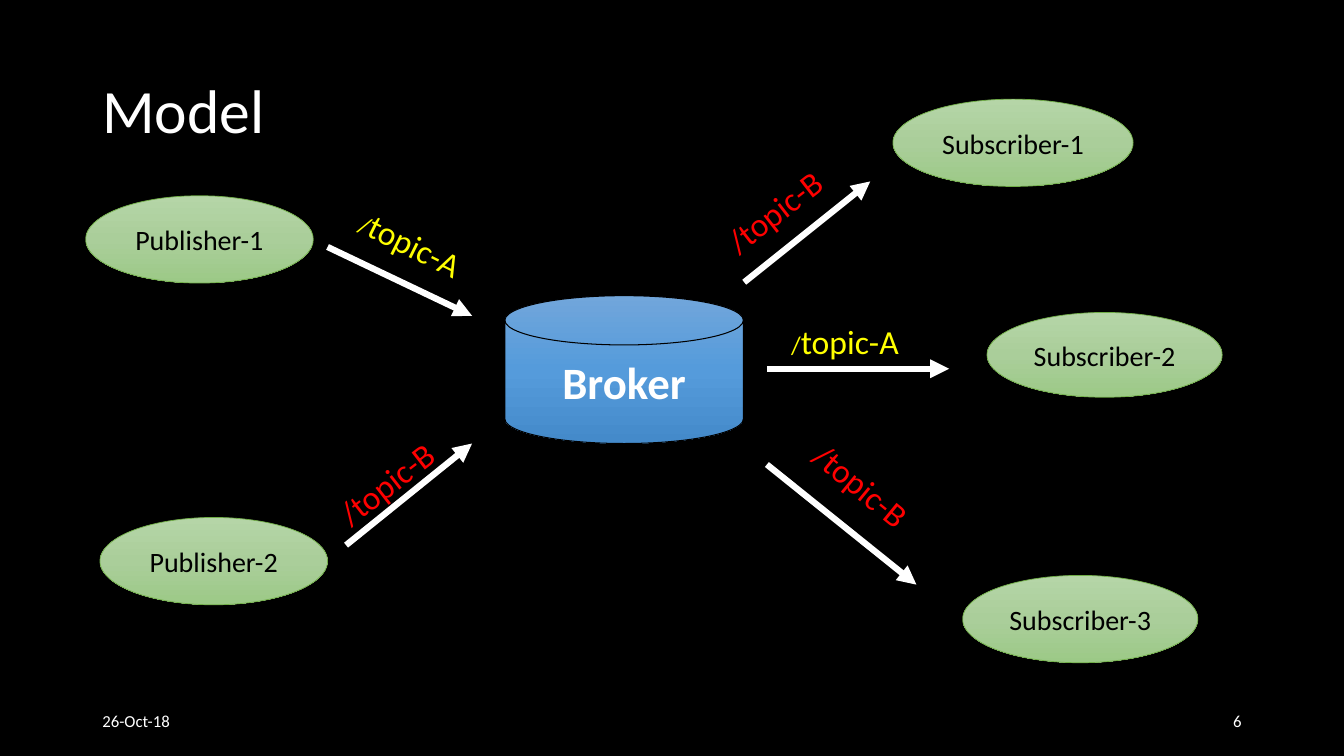
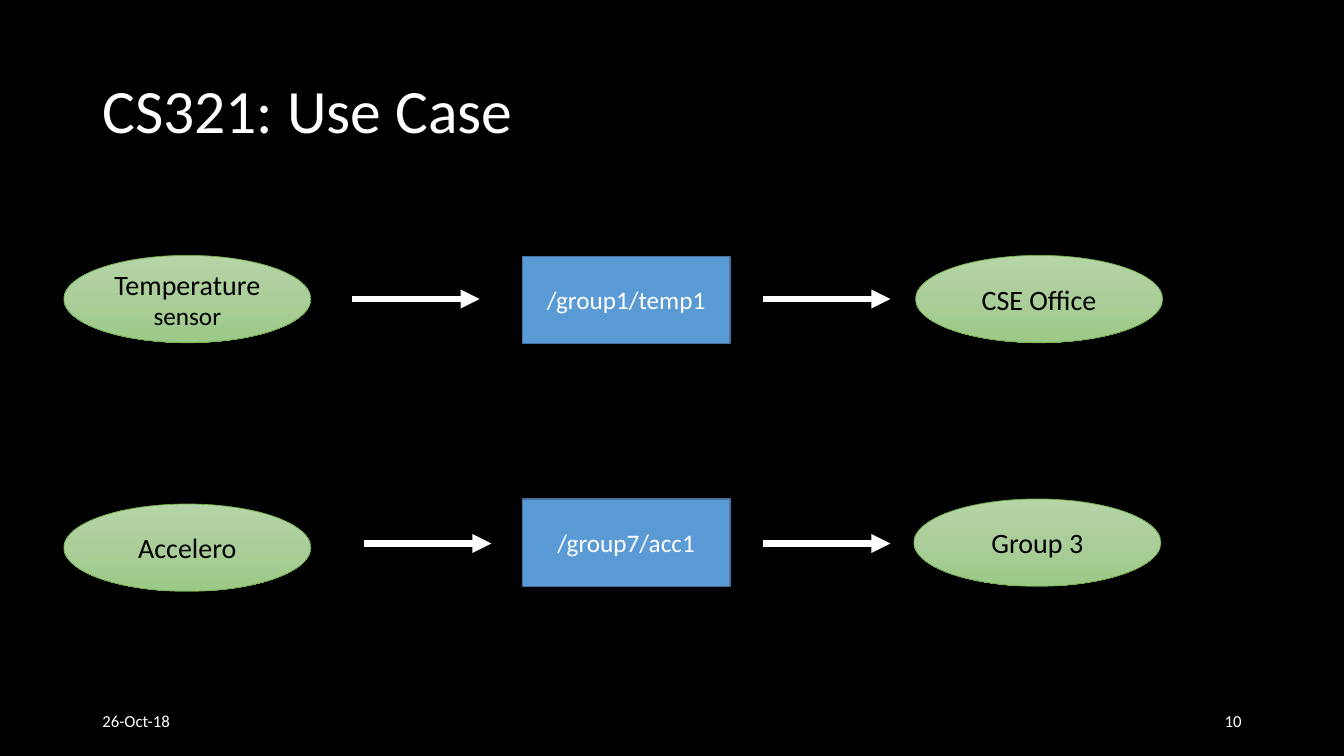
from copy import deepcopy
from dataclasses import dataclass
from typing import Optional

from pptx import Presentation
from pptx import util as u
from pptx.dml import color
from pptx.enum import shapes, text
from pptx.oxml import ns, xmlchemy

# Shared look: the grid has 160 columns and 90 rows
FONT = "Calibri"
COLS, ROWS = 160, 90
WIDTH, HEIGHT = u.Inches(13.333), u.Inches(7.5)
COLORS = {
    "back": "000000", "dark": "000000", "light": "FFFFFF",
    "topic_a": "FFFF00", "topic_b": "FF0000",
    "leaf_top": "B5D5A7", "leaf_mid": "AACE9A", "leaf_end": "9CC987", "leaf_line": "70AD47",
    "disk_top": "71A6DB", "disk_mid": "559BDB", "disk_end": "448ACA", "disk_line": "000000",
    "box": "5B9BD5", "box_line": "43739E",
}
LEFT, MIDDLE, RIGHT = text.PP_ALIGN.LEFT, text.PP_ALIGN.CENTER, text.PP_ALIGN.RIGHT


@dataclass(frozen=True)
class Run:
    words: str
    size: float
    ink: str = "light"
    bold: bool = False


@dataclass(frozen=True)
class Area:
    col: float
    row: float
    cols: float
    rows: float


@dataclass(frozen=True)
class Style:
    kind: shapes.MSO_SHAPE
    fills: tuple[str, ...]
    line: str
    weight: float


@dataclass(frozen=True)
class Node:
    area: Area
    runs: tuple[Run, ...]
    style: Style


@dataclass(frozen=True)
class Arrow:
    col1: float
    row1: float
    col2: float
    row2: float


@dataclass(frozen=True)
class Label:
    area: Area
    runs: tuple[Run, ...]
    angle: float = 0


LEAF = Style(shapes.MSO_SHAPE.OVAL, ("leaf_top", "leaf_mid", "leaf_end"), "leaf_line", 0.5)
DISK = Style(shapes.MSO_SHAPE.FLOWCHART_MAGNETIC_DISK,
             ("disk_top", "disk_mid", "disk_end"), "disk_line", 0.75)
BOX = Style(shapes.MSO_SHAPE.RECTANGLE, ("box",), "box_line", 1)


# Drawing helpers
def x(cols: float) -> int:
    return round(WIDTH * cols / COLS)


def y(rows: float) -> int:
    return round(HEIGHT * rows / ROWS)


def frame(area: Area) -> tuple[int, int, int, int]:
    return x(area.col), y(area.row), x(area.cols), y(area.rows)


def rgb(name: str) -> color.RGBColor:
    return color.RGBColor.from_string(COLORS[name])


def write(tf, runs: tuple[Run, ...], align: text.PP_ALIGN,
          spacing: Optional[float] = None) -> None:
    p = tf.paragraphs[0]
    p.alignment = align
    if spacing:
        p.line_spacing = spacing
    for run in runs:
        r = p.add_run()
        r.text = run.words
        r.font.name, r.font.size, r.font.bold = FONT, u.Pt(run.size), run.bold
        r.font.color.rgb = rgb(run.ink)


def add_text(s, area: Area, run: Run, align: text.PP_ALIGN = LEFT,
             spacing: Optional[float] = None) -> None:
    tf = s.shapes.add_textbox(*frame(area)).text_frame
    tf.word_wrap = True
    tf.vertical_anchor = text.MSO_ANCHOR.MIDDLE
    write(tf, (run,), align, spacing)


def shade(sp, fills: tuple[str, ...]) -> None:
    """Fill from top to bottom with three evenly spaced colours."""
    sp.fill.gradient()
    sp.fill.gradient_angle = 270
    first = next(sp._element.spPr.iter(ns.qn("a:gs")))
    first.addnext(deepcopy(first))
    for i, (stop, name) in enumerate(zip(sp.fill.gradient_stops, fills)):
        stop.position = i / (len(fills) - 1)
        stop.color.rgb = rgb(name)


def add_node(s, node: Node) -> None:
    style = node.style
    sp = s.shapes.add_shape(style.kind, *frame(node.area))
    sp.shadow.inherit = False
    if len(style.fills) > 1:
        shade(sp, style.fills)
    else:
        sp.fill.solid()
        sp.fill.fore_color.rgb = rgb(style.fills[0])
    sp.line.color.rgb = rgb(style.line)
    sp.line.width = u.Pt(style.weight)
    sp.text_frame.vertical_anchor = text.MSO_ANCHOR.MIDDLE
    write(sp.text_frame, node.runs, MIDDLE)


def add_arrow(s, arrow: Arrow) -> None:
    sp = s.shapes.add_connector(shapes.MSO_CONNECTOR.STRAIGHT, x(arrow.col1), y(arrow.row1),
                                x(arrow.col2), y(arrow.row2))
    sp.line.color.rgb = rgb("light")
    sp.line.width = u.Pt(4.5)
    sp.line._get_or_add_ln().append(xmlchemy.OxmlElement("a:tailEnd"))
    sp.line._get_or_add_ln()[-1].set("type", "triangle")
    sp._element.spPr.append(xmlchemy.OxmlElement("a:effectLst"))


def add_label(s, label: Label) -> None:
    sp = s.shapes.add_textbox(*frame(label.area))
    sp.rotation = label.angle
    tf = sp.text_frame
    tf.word_wrap = False
    tf.auto_size = text.MSO_AUTO_SIZE.SHAPE_TO_FIT_TEXT
    write(tf, label.runs, LEFT)


def add_slide(prs, title: str, number: int, nodes: list[Node], arrows: list[Arrow],
              labels: tuple[Label, ...] = ()) -> None:
    s = prs.slides.add_slide(prs.slide_layouts[6])
    add_text(s, Area(11, 4.8, 138, 17.4), Run(title, 44), spacing=0.9)
    add_text(s, Area(11, 83.4, 36, 4.8), Run("26-Oct-18", 12))
    add_text(s, Area(113, 83.4, 36, 4.8), Run(str(number), 12), RIGHT)
    for node in nodes:
        add_node(s, node)
    for arrow in arrows:
        add_arrow(s, arrow)
    for label in labels:
        add_label(s, label)


def leaf(words: str, col: float, row: float, cols: float, rows: float = 10.4) -> Node:
    return Node(Area(col, row, cols, rows), (Run(words, 20, "dark"),), LEAF)


def topic_a(col: float, row: float, angle: float = 0) -> Label:
    runs = (Run("/", 18, "topic_a"), Run("topic-A", 24, "topic_a"))
    return Label(Area(col, row, 15.4, 6), runs, angle)


def topic_b(col: float, row: float, angle: float) -> Label:
    return Label(Area(col, row, 15.6, 6), (Run("/topic-B", 24, "topic_b"),), angle)


def topic_box(words: str, row: float) -> Node:
    return Node(Area(62.2, row, 24.7, 10.4), (Run(words, 18),), BOX)


prs = Presentation()
prs.slide_width, prs.slide_height = WIDTH, HEIGHT
back = prs.slide_master.background.fill
back.solid()
back.fore_color.rgb = rgb("back")

# Publishers and subscribers around the broker
add_slide(
    prs, "Model", 6,
    nodes=[
        Node(Area(60.1, 35.2, 28.4, 17.6), (Run("Broker", 32, bold=True),), DISK),
        leaf("Subscriber-1", 106.3, 11.8, 28.6),
        leaf("Subscriber-2", 117.5, 37.2, 28, 10.1),
        leaf("Subscriber-3", 114.6, 68.5, 28),
        leaf("Publisher-1", 10.2, 23.3, 27.1),
        leaf("Publisher-2", 11.9, 61.6, 27.1),
    ],
    arrows=[
        Arrow(39, 29.4, 56.2, 37.6),
        Arrow(41.2, 64.9, 56.2, 52.8),
        Arrow(88.6, 33.6, 103.6, 21.6),
        Arrow(91.3, 43.9, 113, 43.9),
        Arrow(91.3, 55.3, 109.1, 69.6),
    ],
    labels=(
        topic_a(41.3, 26, 26.4),
        topic_b(38.2, 54.5, 322),
        topic_a(93, 37.6),
        topic_b(84.4, 22.1, 322),
        topic_b(94.8, 54.8, 39.3),
    ),
)

# Sensor, topic and reader in two rows
TEMP_ROW, ACC_ROW = 35.6, 64.7
LEAF_COLS, ARROW_COLS = 29.4, 15.2
temperature = Node(Area(7.6, 30.4, LEAF_COLS, 10.4),
                   (Run("Temperature", 20, "dark"), Run(" sensor", 18, "dark")), LEAF)
add_slide(
    prs, "CS321: Use Case", 10,
    nodes=[
        temperature,
        leaf("Accelero", 7.6, 60, LEAF_COLS),
        topic_box("/group1/temp1", 30.5),
        topic_box("/group7/acc1", 59.4),
        leaf("Group 3", 108.8, 59.4, LEAF_COLS),
        leaf("CSE Office", 109, 30.4, LEAF_COLS),
    ],
    arrows=[Arrow(col, row, col + ARROW_COLS, row) for col, row in
            ((41.9, TEMP_ROW), (43.3, ACC_ROW), (90.8, TEMP_ROW), (90.8, ACC_ROW))],
)

prs.save("out.pptx")
